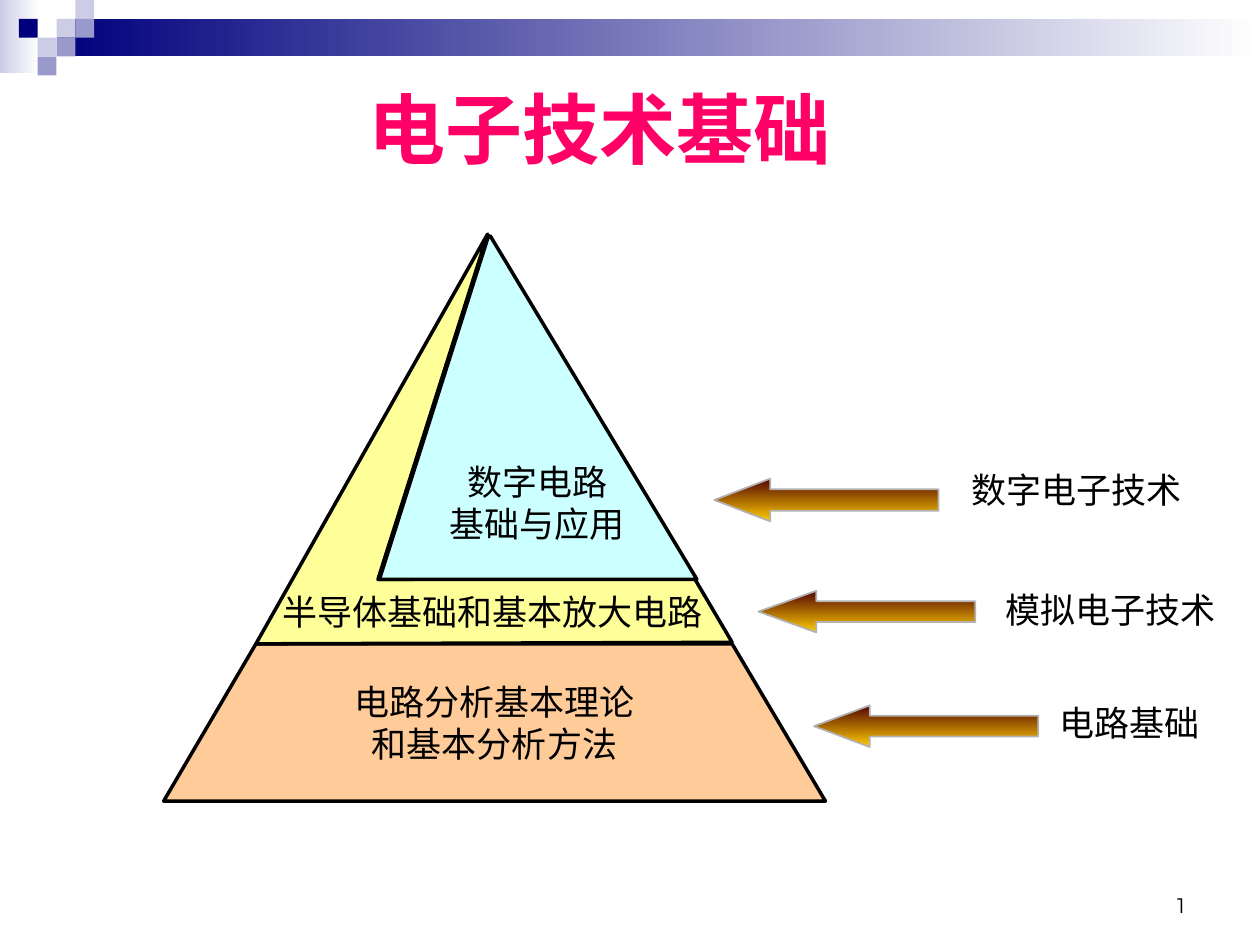
"""Build the electronics pyramid slide."""
from pptx import Presentation
from pptx.dml.color import RGBColor
from pptx.enum.shapes import MSO_SHAPE as Kind
from pptx.enum.text import MSO_ANCHOR as Anchor, PP_ALIGN as Align
from pptx.util import Cm, Pt

rgb = RGBColor.from_string


def paint(shape, fill, edge=None, width=2, angle=0):
    """Fill with one colour or a pair of gradient colours, and set the outline."""
    shape.shadow.inherit = False
    if isinstance(fill, str):
        shape.fill.solid()
        shape.fill.fore_color.rgb = rgb(fill)
    else:
        shape.fill.gradient()
        shape.fill.gradient_angle = angle
        for stop, tint in zip(shape.fill.gradient_stops, fill):
            stop.color.rgb = rgb(tint)
            stop.position = fill.index(tint)
    if edge:
        shape.line.color.rgb = rgb(edge)
        shape.line.width = Pt(width)
    else:
        shape.line.fill.background()


def write(shape, text, tint="000000", align=Align.CENTER, anchor=Anchor.MIDDLE, wrap=False, **font):
    """Put formatted lines of text into a shape."""
    frame = shape.text_frame
    frame.text = text
    look = {"word_wrap": wrap, "vertical_anchor": anchor}
    for key, val in look.items():
        setattr(frame, key, val)
    style = {"name": "Arial", "size": Pt(20), "bold": False} | font
    for para in frame.paragraphs:
        para.alignment = align
        for run in para.runs:
            run.font.color.rgb = rgb(tint)
            for key, val in style.items():
                setattr(run.font, key, val)


deck = Presentation()
deck.slide_width, deck.slide_height = Cm(25.4), Cm(19.05)
slide = deck.slides.add_slide(deck.slide_layouts[5])
shapes = slide.shapes

fades = [
    ((0, 0, 0.79, 1.47), ("CCCCE6", "FFFFFF")),
    ((1.14, 0.38, 24.26, 0.76), ("00007D", "FFFFFF")),
]
for place, fill in fades:
    band = shapes.add_shape(Kind.RECTANGLE, *map(Cm, place))
    paint(band, fill)

unit = 0.38
tiles = {
    "CCCCE6": [(3, 1), (4, 0), (2, 2)],
    "9999CC": [(4, 1), (3, 2), (2, 3)],
    "00007D": [(1, 1)],
}
for tint, cells in tiles.items():
    for col, row in cells:
        tile = shapes.add_shape(
            Kind.RECTANGLE, Cm(col * unit), Cm(row * unit), Cm(unit), Cm(unit)
        )
        paint(tile, tint)

title = shapes.title
spot = {"left": Cm(1.3), "top": Cm(1.52), "width": Cm(21.59), "height": Cm(2.11)}
for key, val in spot.items():
    setattr(title, key, val)
write(title, "电子技术基础", "FF0066", wrap=True, size=Pt(44), bold=True)

page = shapes.add_textbox(Cm(18.21), Cm(17.35), Cm(5.92), Cm(1.27))
write(page, "1", align=Align.RIGHT, anchor=Anchor.BOTTOM, wrap=True,
      name="Montserrat", size=Pt(12))

layers = [
    ("FFCC99", True, [(3.3, 16.15), (5.16, 12.98), (14.76, 12.98), (16.64, 16.15)],
     "电路分析基本理论\n和基本分析方法", (3.3, 12.98, 13.34, 3.18)),
    ("FFFF99", True, [(14.76, 12.95), (5.16, 12.98), (9.83, 4.72), (7.62, 11.68), (14, 11.66)],
     "半导体基础和基本放大电路", (4.93, 11.91, 10, 0.84)),
    ("CCFFFF", False, [(9.86, 4.72), (7.65, 11.68), (14.05, 11.68), (9.88, 4.75)],
     "数字电路\n基础与应用", (8.33, 8.97, 5, 2.34)),
]
for fill, shut, points, text, place in layers:
    start, *rest = [(Cm(x), Cm(y)) for x, y in points]
    form = shapes.build_freeform(*start)
    form.add_line_segments(rest, close=shut)
    layer = form.convert_to_shape()
    paint(layer, fill, "000000")
    label = shapes.add_textbox(*map(Cm, place))
    write(label, text)

courses = [
    ("数字电子技术", (14.4, 9.65, 4.52, 0.86), 1.31, (19.33, 9.32, 4.75, 1.12)),
    ("模拟电子技术", (15.29, 11.91, 4.37, 0.84), 1.39, (20.02, 11.73, 4.75, 1.12)),
    ("电路基础", (16.41, 14.22, 4.52, 0.84), 1.34, (21.11, 14.02, 3.33, 1.12)),
]
for text, place, head, box in courses:
    arrow = shapes.add_shape(Kind.LEFT_ARROW, *map(Cm, place))
    arrow.adjustments[1] = head
    paint(arrow, ("520402", "FFCC00"), "B2B2B2", 1, 270)
    label = shapes.add_textbox(*map(Cm, box))
    write(label, text, anchor=Anchor.TOP)

deck.save("out.pptx")
